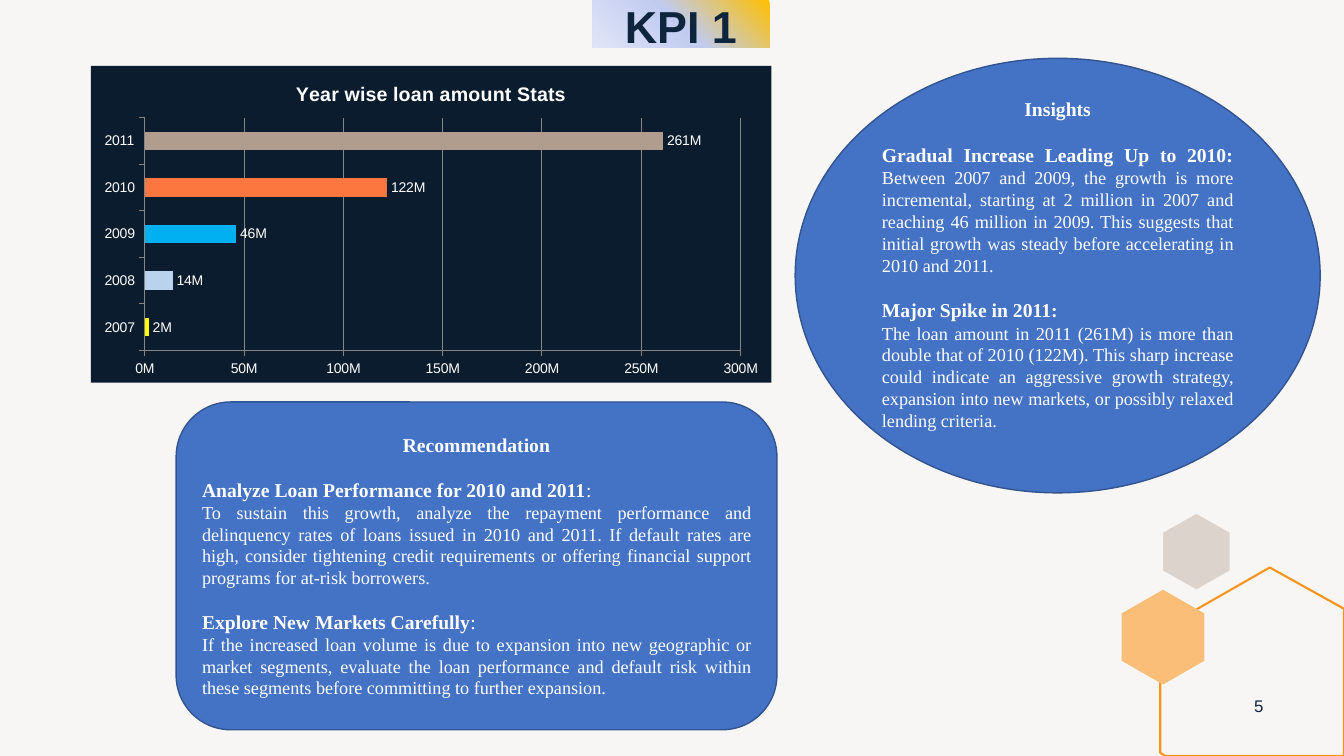
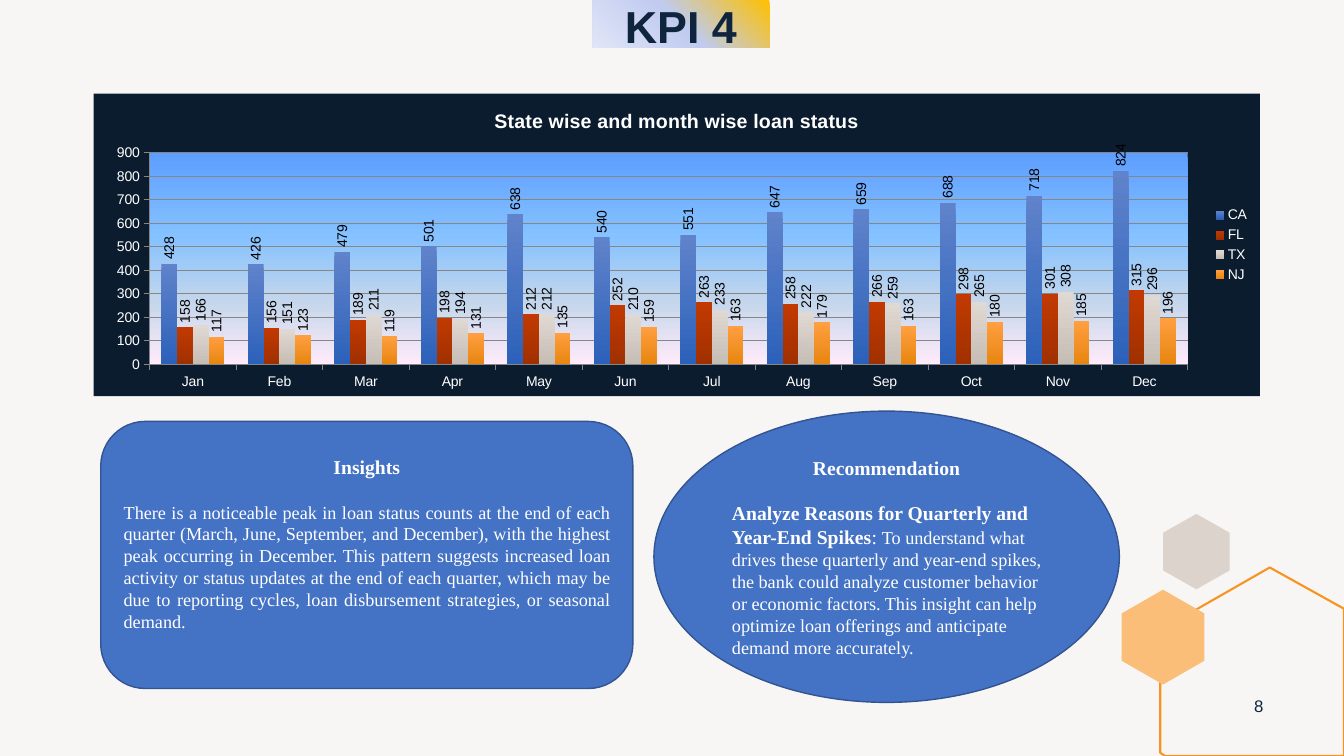
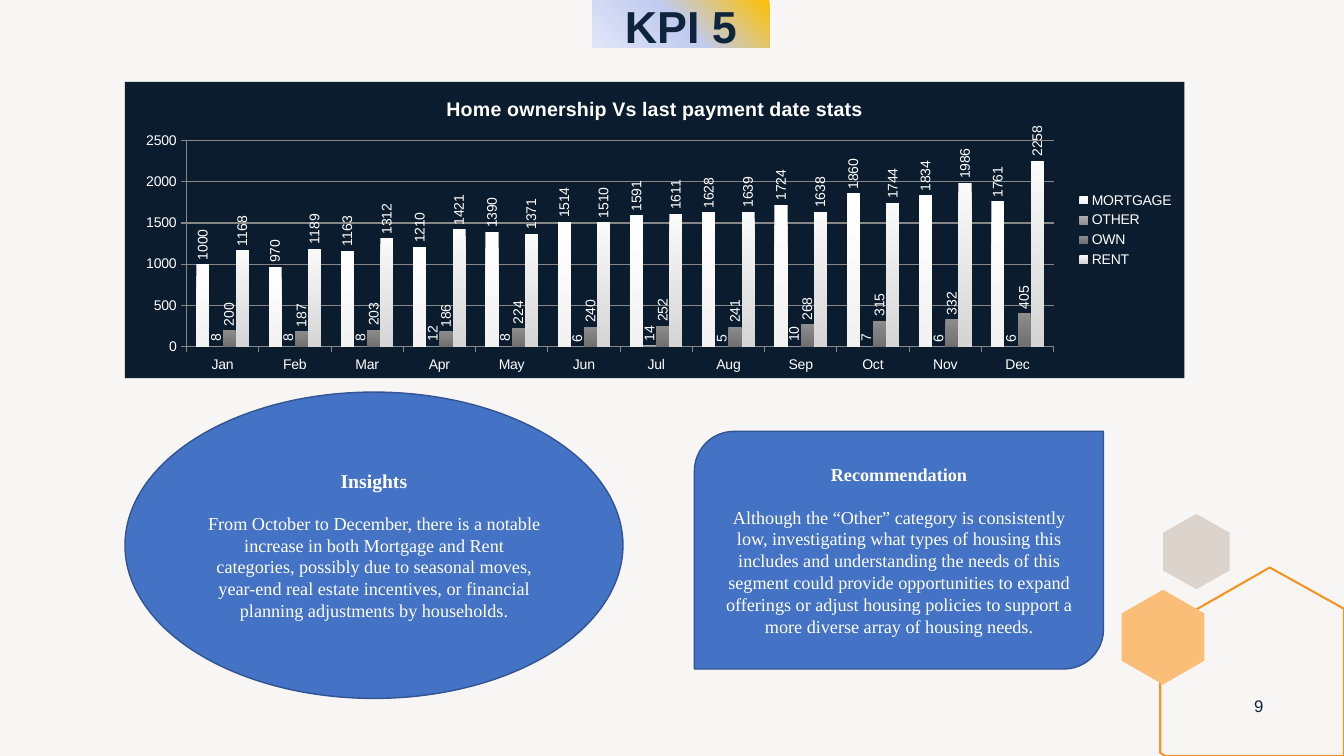
from pptx import Presentation, oxml, util as u
from pptx.chart.data import CategoryChartData
from pptx.dml.color import RGBColor
from pptx.enum import chart as charts, shapes, text
from pptx.oxml import ns

# Shared look
NAVY, WHITE, BLACK = "0F253E", "FFFFFF", "000000"
PAPER, SAND, ORANGE, PEACH = "F8F6F5", "DCD3CC", "F79320", "FABE79"
PANEL, PANEL_LINE = "4472C4", "325491"
CHART_FILL, GRID = "0B1C2E", "868686"
TITLE_STOPS = [(0, "FFC000"), (50, "C0CBF0"), (100, "E0E5F7")]
SKY_STOPS = [(0, "5E9EFF"), (40, "85C2FF"), (70, "C4D6EB"), (100, "FFEBFA")]
SANS, SERIF = "Arial", "Times New Roman"
CENTER, JUSTIFY, LEFT = text.PP_ALIGN.CENTER, text.PP_ALIGN.JUSTIFY, text.PP_ALIGN.LEFT
ELLIPSE = shapes.MSO_SHAPE.OVAL
ROUNDED = shapes.MSO_SHAPE.ROUNDED_RECTANGLE
DIAGONAL = shapes.MSO_SHAPE.ROUND_2_DIAG_RECTANGLE
MILLIONS = '#,##0,,"M"'
MONTHS = ["Jan", "Feb", "Mar", "Apr", "May", "Jun",
          "Jul", "Aug", "Sep", "Oct", "Nov", "Dec"]


def color(value):
    return RGBColor.from_string(value)


def cm(box):
    return [u.Cm(length) for length in box]


def gradient_fill(stops, angle):
    marks = "".join(f'<a:gs pos="{position * 1000}"><a:srgbClr val="{value}"/></a:gs>'
                    for position, value in stops)
    return oxml.parse_xml(f'<a:gradFill {ns.nsdecls("a")}><a:gsLst>{marks}</a:gsLst>'
                          f'<a:lin ang="{angle * 60000}" scaled="0"/></a:gradFill>')


def paint_gradient(fill, properties, stops, angle):
    fill.gradient()
    properties.replace(properties.find(ns.qn("a:gradFill")), gradient_fill(stops, angle))


def chart_properties(fill):
    properties = oxml.parse_xml(f'<c:spPr {ns.nsdecls("c", "a")}>'
                                '<a:ln><a:noFill/></a:ln></c:spPr>')
    properties.insert(0, fill)
    return properties


def set_font(font, name, size, value, bold=False):
    font.name, font.size, font.bold = name, u.Pt(size), bold
    font.color.rgb = color(value)


# Slide frame
def add_polygon(slide, points, fill=None, line=None):
    corners = [cm(point) for point in points]
    builder = slide.shapes.build_freeform(*corners[0])
    builder.add_line_segments(corners[1:], close=True)
    shape = builder.convert_to_shape()
    shape.shadow.inherit = False
    if fill:
        shape.fill.solid()
        shape.fill.fore_color.rgb = color(fill)
        shape.line.fill.background()
    else:
        shape.fill.background()
        shape.line.color.rgb = color(line)
        shape.line.width = u.Pt(1.5)


def add_hexagon(slide, box, fill):
    left, top, width, height = box
    ratios = [(0.5, 0), (1, 0.25), (1, 0.75), (0.5, 1), (0, 0.75), (0, 0.25)]
    add_polygon(slide, [(left + x * width, top + y * height) for x, y in ratios], fill)


def add_label(slide, box, words, size, bold=False):
    shape = slide.shapes.add_textbox(*cm(box))
    frame = shape.text_frame
    frame.word_wrap = True
    paragraph = frame.paragraphs[0]
    paragraph.text, paragraph.alignment = words, CENTER
    set_font(paragraph.font, SANS, size, NAVY, bold)
    return shape


def add_frame(presentation, title, number):
    slide = presentation.slides.add_slide(presentation.slide_layouts[6])
    slide.background.fill.solid()
    slide.background.fill.fore_color.rgb = color(PAPER)
    add_hexagon(slide, (29.31, 12.95, 1.68, 1.9), SAND)
    add_polygon(slide, [(32, 14.3), (33.87, 15.34), (33.87, 19.05), (29.36, 19.05),
                        (29.24, 18.97), (29.24, 15.88)], line=ORANGE)
    add_hexagon(slide, (28.27, 14.86, 2.08, 2.39), PEACH)
    heading = add_label(slide, (14.93, 0, 4.46, 1.19), title, 32, True)
    heading.text_frame.paragraphs[0].line_spacing = 0.9
    paint_gradient(heading.fill, heading._element.spPr, TITLE_STOPS, 135)
    page = add_label(slide, (31.09, 17.27, 1.27, 1.02), number, 12)
    page.text_frame.vertical_anchor = text.MSO_ANCHOR.MIDDLE
    return slide


# Text panels: a paragraph is (alignment, space before, runs), a run (words, size, bold)
def add_panel(slide, box, kind, paragraphs, lift=0):
    shape = slide.shapes.add_shape(kind, *cm(box))
    shape.shadow.inherit = False
    shape.fill.solid()
    shape.fill.fore_color.rgb = color(PANEL)
    shape.line.color.rgb = color(PANEL_LINE)
    shape.line.width = u.Pt(1)
    frame = shape.text_frame
    frame.word_wrap = True
    frame.vertical_anchor = text.MSO_ANCHOR.MIDDLE
    frame.margin_bottom = u.Cm(0.13 + lift)
    for index, (alignment, gap, runs) in enumerate(paragraphs):
        paragraph = frame.add_paragraph() if index else frame.paragraphs[0]
        paragraph.alignment = alignment
        if gap:
            paragraph.space_before = u.Pt(gap)
        set_font(paragraph.font, SERIF, runs[0][1], WHITE, runs[0][2])
        for words, size, bold in runs:
            run = paragraph.add_run()
            run.text = words
            if len(runs) > 1:
                run.font.size, run.font.bold = u.Pt(size), bold


def heading(words, size=14):
    return CENTER, 0, [(words, size, True)]


def body(words, alignment=JUSTIFY, gap=0):
    return alignment, gap, [(words, 13, False)]


# Charts
def add_stats_chart(slide, box, kind, title, categories, series, maximum, unit,
                    number_format="General", label_color=WHITE, plot_stops=None):
    data = CategoryChartData()
    data.categories = categories
    for name, values, _ in series:
        data.add_series(name, values)
    chart = slide.shapes.add_chart(kind, *cm(box), data).chart
    set_font(chart.font, SANS, 10, WHITE)
    chart.has_title = True
    title_frame = chart.chart_title.text_frame
    title_frame.text = title
    set_font(title_frame.paragraphs[0].font, SANS, 14, WHITE, True)
    chart.chart_title.include_in_layout = False

    chart.has_legend = len(series) > 1
    if chart.has_legend:
        chart.legend.position = charts.XL_LEGEND_POSITION.RIGHT
        chart.legend.include_in_layout = False
        set_font(chart.legend.font, SANS, 10, WHITE)

    # Axes
    value_axis = chart.value_axis
    value_axis.minimum_scale, value_axis.maximum_scale = 0, maximum
    value_axis.major_unit = unit
    value_axis.has_major_gridlines = True
    value_axis.tick_labels.number_format = number_format
    value_axis.tick_labels.number_format_is_linked = False
    for axis in (value_axis, chart.category_axis):
        axis.major_tick_mark = charts.XL_TICK_MARK.OUTSIDE
    for part in (value_axis, chart.category_axis, value_axis.major_gridlines):
        part.format.line.color.rgb = color(GRID)
        part.format.line.width = u.Pt(0.75)

    # Bars and their labels
    plot = chart.plots[0]
    plot.vary_by_categories = False
    plot.gap_width, plot.overlap = 150, 0
    for bars, (_, _, fills) in zip(plot.series, series):
        if chart.has_legend:
            paint_gradient(bars.format.fill, bars._element.get_or_add_spPr(),
                           list(zip((0, 100), fills)), 90)
        else:
            for index, value in enumerate(fills):
                fill = bars.points[index].format.fill
                fill.solid()
                fill.fore_color.rgb = color(value)
        labels = bars.data_labels
        labels.show_value = True
        labels.position = charts.XL_LABEL_POSITION.OUTSIDE_END
        labels.number_format = number_format
        labels.number_format_is_linked = False
        set_font(labels.font, SANS, 10, label_color)
        if chart.has_legend:
            labels._element.get_or_add_txPr().bodyPr.set("rot", "-5400000")

    # Backgrounds
    space = chart._chartSpace
    back = oxml.parse_xml(f'<a:solidFill {ns.nsdecls("a")}>'
                          f'<a:srgbClr val="{CHART_FILL}"/></a:solidFill>')
    space.find(ns.qn("c:chart")).addnext(chart_properties(back))
    plot_fill = (gradient_fill(plot_stops, 90) if plot_stops
                 else oxml.parse_xml(f'<a:noFill {ns.nsdecls("a")}/>'))
    space.chart.plotArea.append(chart_properties(plot_fill))


def add_yearly_slide(presentation):
    slide = add_frame(presentation, "KPI 1", "5")
    add_panel(slide, (4.44, 10.13, 15.14, 8.26), ROUNDED, [
        heading("Recommendation"),
        (JUSTIFY, 15, [("Analyze Loan Performance for 2010 and 2011", 14, True),
                       (": ", 14, False)]),
        body("To sustain this growth, analyze the repayment performance and delinquency "
             "rates of loans issued in 2010 and 2011. If default rates are high, consider "
             "tightening credit requirements or offering financial support programs for "
             "at-risk borrowers."),
        (JUSTIFY, 15, [("Explore New Markets Carefully", 14, True), (": ", 14, False)]),
        body("If the increased loan volume is due to expansion into new geographic or "
             "market segments, evaluate the loan performance and default risk within "
             "these segments before committing to further expansion."),
    ])
    add_stats_chart(
        slide, (2.29, 1.66, 17.15, 7.98), charts.XL_CHART_TYPE.BAR_CLUSTERED,
        "Year wise loan amount Stats", ["2007", "2008", "2009", "2010", "2011"],
        [("Series 1", [2000000, 14000000, 46000000, 122000000, 261000000],
          ["FFFF00", "B9D2EE", "00B0F0", "FC7740", "B19D8D"])],
        300000000, 50000000, MILLIONS)
    add_panel(slide, (20.04, 1.47, 13.23, 10.95), ELLIPSE, [
        heading("Insights"),
        (JUSTIFY, 16, [
            ("Gradual Increase Leading Up to 2010: ", 14, True),
            ("Between 2007 and 2009, the growth is more incremental, starting at 2 million "
             "in 2007 and reaching 46 million in 2009. This suggests that initial growth "
             "was steady before accelerating in 2010 and 2011.", 13, False)]),
        (JUSTIFY, 16, [("Major Spike in 2011:", 14, True)]),
        body("The loan amount in 2011 (261M) is more than double that of 2010 (122M). This "
             "sharp increase could indicate an aggressive growth strategy, expansion into "
             "new markets, or possibly relaxed lending criteria."),
    ], lift=0.57)


def add_state_slide(presentation):
    slide = add_frame(presentation, "KPI 4", "8")
    add_panel(slide, (16.48, 10.36, 11.73, 7.34), ELLIPSE, [
        heading("Recommendation"),
        (LEFT, 16, [
            ("Analyze Reasons for Quarterly and Year-End Spikes", 14, True),
            (": ", 14, False),
            ("To understand what drives these quarterly and year-end spikes, the bank could "
             "analyze customer behavior or economic factors. This insight can help optimize "
             "loan offerings and anticipate demand more accurately.", 13, False)]),
    ])
    add_panel(slide, (2.54, 10.62, 13.41, 6.73), ROUNDED, [
        heading("Insights"),
        body("There is a noticeable peak in loan status counts at the end of each quarter "
             "(March, June, September, and December), with the highest peak occurring in "
             "December. This pattern suggests increased loan activity or status updates at "
             "the end of each quarter, which may be due to reporting cycles, loan "
             "disbursement strategies, or seasonal demand.", gap=16),
    ], lift=0.57)
    add_stats_chart(
        slide, (2.36, 2.36, 29.39, 7.62), charts.XL_CHART_TYPE.COLUMN_CLUSTERED,
        "State wise and month wise loan status", MONTHS,
        [("CA", [428, 426, 479, 501, 638, 540, 551, 647, 659, 688, 718, 824],
          ("6083CB", "2C61BA")),
         ("FL", [158, 156, 189, 198, 212, 252, 263, 258, 266, 298, 301, 315],
          ("C23A02", "A03000")),
         ("TX", [166, 151, 211, 194, 212, 210, 233, 222, 259, 265, 308, 296],
          ("E0D8D2", "C6BDB5")),
         ("NJ", [117, 123, 119, 131, 135, 159, 163, 179, 163, 180, 185, 196],
          ("FF9F40", "E88610"))],
        900, 100, label_color=BLACK, plot_stops=SKY_STOPS)


def add_ownership_slide(presentation):
    slide = add_frame(presentation, "KPI 5", "9")
    add_stats_chart(
        slide, (3.15, 2.06, 26.7, 7.47), charts.XL_CHART_TYPE.COLUMN_CLUSTERED,
        "Home ownership Vs last payment date stats", MONTHS,
        [("MORTGAGE", [1000, 970, 1163, 1210, 1390, 1514, 1591, 1628, 1724, 1860, 1834, 1761],
          ("FFFFFF", "F2F2F2")),
         ("OTHER", [8, 8, 8, 12, 8, 6, 14, 5, 10, 7, 6, 6], ("B0B0B0", "909090")),
         ("OWN", [200, 187, 203, 186, 224, 240, 252, 241, 268, 315, 332, 405],
          ("8C8C8C", "707070")),
         ("RENT", [1168, 1189, 1312, 1421, 1371, 1510, 1611, 1639, 1638, 1744, 1986, 2258],
          ("FAFAFA", "D5D5D5"))],
        2500, 500)
    add_panel(slide, (3.15, 9.88, 12.55, 7.72), ELLIPSE, [
        heading("Insights"),
        body("From October to December, there is a notable increase in both Mortgage and "
             "Rent categories, possibly due to seasonal moves, year-end real estate "
             "incentives, or financial planning adjustments by households.", CENTER, 14),
    ])
    add_panel(slide, (17.5, 10.87, 10.31, 5.99), DIAGONAL, [
        heading("Recommendation", 13),
        body("Although the “Other” category is consistently low, investigating what types "
             "of housing this includes and understanding the needs of this segment could "
             "provide opportunities to expand offerings or adjust housing policies to "
             "support a more diverse array of housing needs.", CENTER, 15),
    ])


def main():
    presentation = Presentation()
    presentation.slide_width, presentation.slide_height = cm((33.87, 19.05))
    add_yearly_slide(presentation)
    add_state_slide(presentation)
    add_ownership_slide(presentation)
    presentation.save("out.pptx")


if __name__ == "__main__":
    main()
